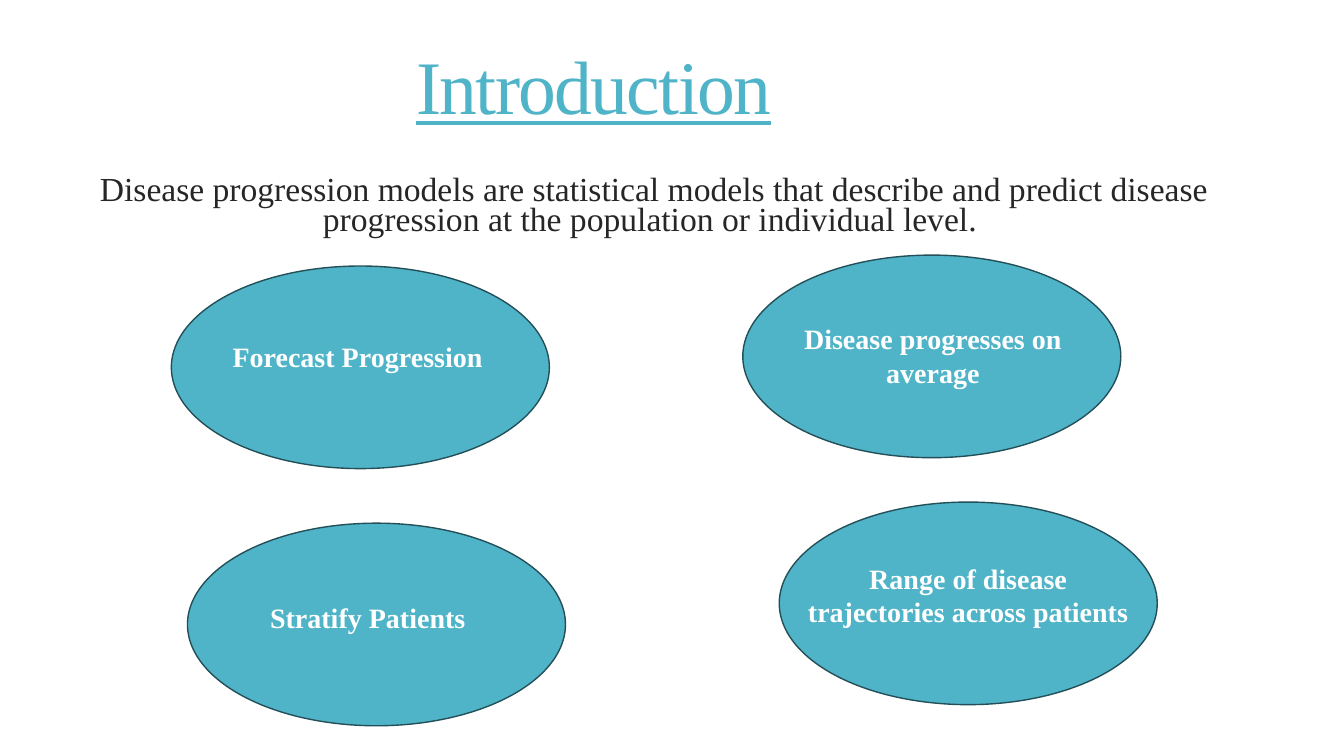
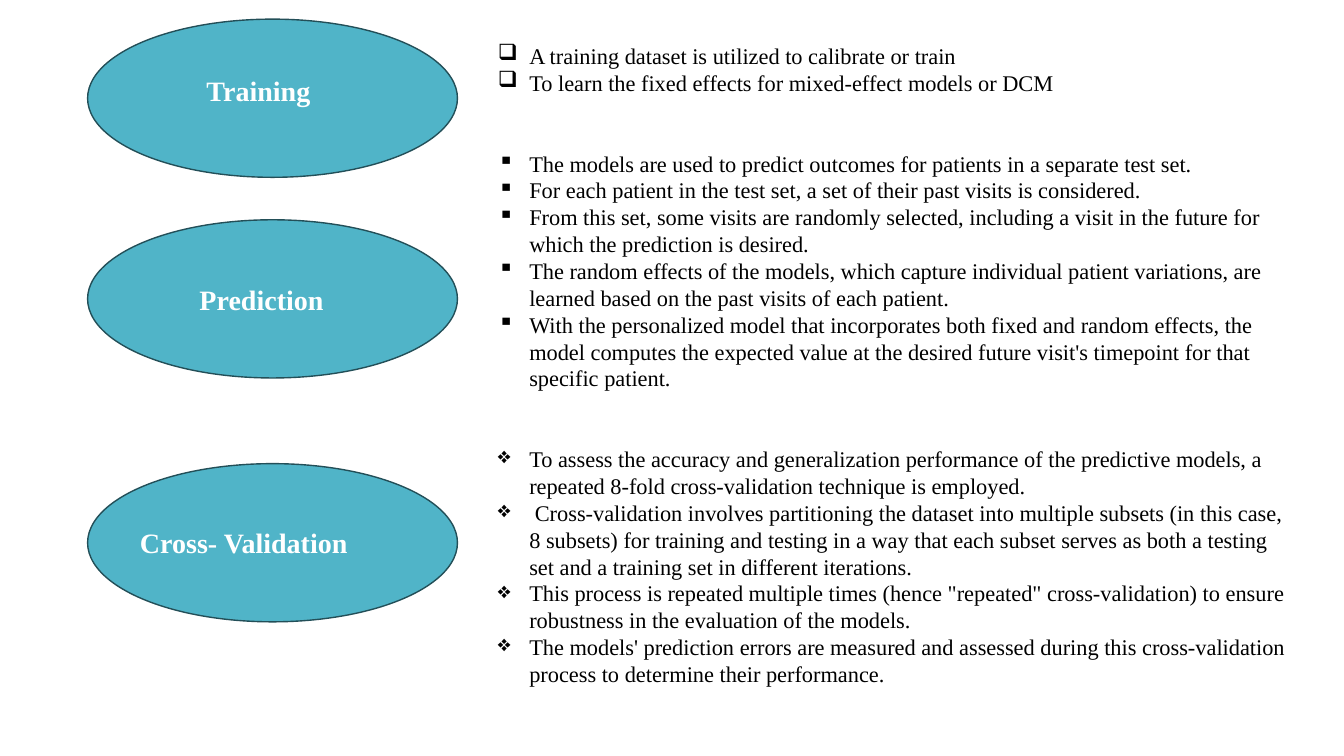
"""Build two slides on disease progression models."""
from dataclasses import dataclass

from lxml import etree
from pptx import Presentation
from pptx.dml.color import RGBColor
from pptx.enum import shapes, text
from pptx.oxml import ns
from pptx.util import Pt

TEAL = RGBColor(0x50, 0xB4, 0xC8)
EDGE = RGBColor(0x23, 0x4F, 0x58)
WHITE = RGBColor(0xFF, 0xFF, 0xFF)
BLACK = RGBColor(0x00, 0x00, 0x00)
GREY = RGBColor(0x26, 0x26, 0x26)
FACE = "Times New Roman"
LEFT, MID = text.PP_ALIGN.LEFT, text.PP_ALIGN.CENTER
INDENT = 22.5
GAP = 38.4


@dataclass(frozen=True)
class Box:
    """A place on the slide, in points."""
    x: float
    y: float
    w: float
    h: float

    def span(self) -> tuple:
        """Return the four lengths."""
        return Pt(self.x), Pt(self.y), Pt(self.w), Pt(self.h)


@dataclass(frozen=True)
class Topic:
    """An oval with a label over it."""
    oval: Box
    label: Box
    words: str
    align: text.PP_ALIGN = LEFT


@dataclass(frozen=True)
class Group:
    """Points that share one bullet mark."""
    mark: str
    points: tuple


GOALS = (
    Topic(Box(122.4, 190, 270, 144.7), Box(159, 239, 229.7, 31.5), "Forecast Progression"),
    Topic(Box(133.9, 373.7, 270, 144.7), Box(185.8, 425.5, 229.7, 31.5), "Stratify Patients"),
    Topic(Box(530.6, 182.2, 270, 144.7), Box(540, 226, 252.7, 55.7),
          "Disease progresses on average", MID),
    Topic(Box(556.6, 358.6, 270, 144.7), Box(565.2, 397.4, 252.7, 55.7),
          "Range of disease trajectories across patients", MID),
)

STEPS = (
    Topic(Box(62.6, 13.7, 264.2, 113), Box(140.4, 49, 229.7, 31.5), "Training"),
    Topic(Box(62.6, 157, 264.2, 113), Box(135.4, 198, 207.4, 31.5), "Prediction"),
    Topic(Box(62.6, 331.2, 264.2, 113), Box(92.9, 371.5, 229.7, 31.5), "Cross- Validation"),
)

DETAILS = (
    Group("❑", (
        "A training dataset is utilized to calibrate or train",
        "To learn the fixed effects for mixed-effect models or DCM",
    )),
    Group("▪", (
        "The models are used to predict outcomes for patients in a separate test set.",
        "For each patient in the test set, a set of their past visits is considered.",
        "From this set, some visits are randomly selected, including a visit in the future "
        "for which the prediction is desired.",
        "The random effects of the models, which capture individual patient variations, are "
        "learned based on the past visits of each patient.",
        "With the personalized model that incorporates both fixed and random effects, the "
        "model computes the expected value at the desired future visit's timepoint for that "
        "specific patient.",
    )),
    Group("❖", (
        "To assess the accuracy and generalization performance of the predictive models, a "
        "repeated 8-fold cross-validation technique is employed.",
        " Cross-validation involves partitioning the dataset into multiple subsets (in this "
        "case, 8 subsets) for training and testing in a way that each subset serves as both a "
        "testing set and a training set in different iterations.",
        "This process is repeated multiple times (hence \"repeated\" cross-validation) to "
        "ensure robustness in the evaluation of the models.",
        "The models' prediction errors are measured and assessed during this "
        "cross-validation process to determine their performance.",
    )),
)


def write(para, words: str, size: float, color: RGBColor, bold: bool = False):
    """Add one run to a paragraph and return it."""
    run = para.add_run()
    run.text = words
    font = run.font
    font.name, font.size, font.bold = FACE, Pt(size), bold
    font.color.rgb = color
    return run


def add_text(slide, box: Box):
    """Add a wrapping text box and return its frame."""
    frame = slide.shapes.add_textbox(*box.span()).text_frame
    frame.word_wrap = True
    return frame


def add_title(slide, words: str) -> None:
    """Place and format the title."""
    title = slide.shapes.title
    title.left, title.top, title.width, title.height = Box(0, 0, 848.2, 130.3).span()
    frame = title.text_frame
    frame.auto_size = text.MSO_AUTO_SIZE.NONE
    frame.vertical_anchor = text.MSO_ANCHOR.MIDDLE
    para = frame.paragraphs[0]
    para.alignment, para.line_spacing = MID, 0.85
    run = write(para, words, 54, TEAL)
    run.font.underline = True
    run.font._element.set("spc", "-120")


def add_lead(slide, words: str) -> None:
    """Add the centred lead sentence."""
    para = add_text(slide, Box(26.6, 123.1, 881.3, 54)).paragraphs[0]
    para.alignment, para.line_spacing = MID, 0.75
    write(para, words, 24, GREY)


def add_topic(slide, topic: Topic) -> None:
    """Draw an oval and its label."""
    oval = slide.shapes.add_shape(shapes.MSO_SHAPE.OVAL, *topic.oval.span())
    oval.shadow.inherit = False
    oval.fill.solid()
    oval.fill.fore_color.rgb = TEAL
    oval.line.color.rgb = EDGE
    oval.line.width = Pt(1)
    para = add_text(slide, topic.label).paragraphs[0]
    para.alignment = topic.align
    write(para, topic.words, 20, WHITE, True)


def add_mark(para, mark: str) -> None:
    """Give a paragraph a hanging bullet."""
    props = para._p.get_or_add_pPr()
    props.set("marL", str(Pt(INDENT)))
    props.set("indent", str(-Pt(INDENT)))
    etree.SubElement(props, ns.qn("a:buChar")).set("char", mark)


def add_list(slide, box: Box, groups: tuple) -> None:
    """Write bullet groups with a gap between them."""
    frame = add_text(slide, box)
    para = frame.paragraphs[0]
    for i, group in enumerate(groups):
        for j, point in enumerate(group.points):
            if i or j:
                para = frame.add_paragraph()
            add_mark(para, group.mark)
            if i and not j:
                para.space_before = Pt(GAP)
            write(para, point, 16, BLACK)


def main() -> None:
    """Build and save the deck."""
    deck = Presentation()
    deck.slide_width, deck.slide_height = Pt(960), Pt(540)

    intro = deck.slides.add_slide(deck.slide_layouts.get_by_name("Title Only"))
    add_title(intro, "Introduction")
    add_lead(intro, "Disease progression models are statistical models that describe and "
                    "predict disease progression at the population or individual level. ")
    for goal in GOALS:
        add_topic(intro, goal)

    method = deck.slides.add_slide(deck.slide_layouts.get_by_name("Blank"))
    for step in STEPS:
        add_topic(method, step)
    add_list(method, Box(348.5, 26.6, 585.4, 509), DETAILS)

    deck.save("out.pptx")


if __name__ == "__main__":
    main()
